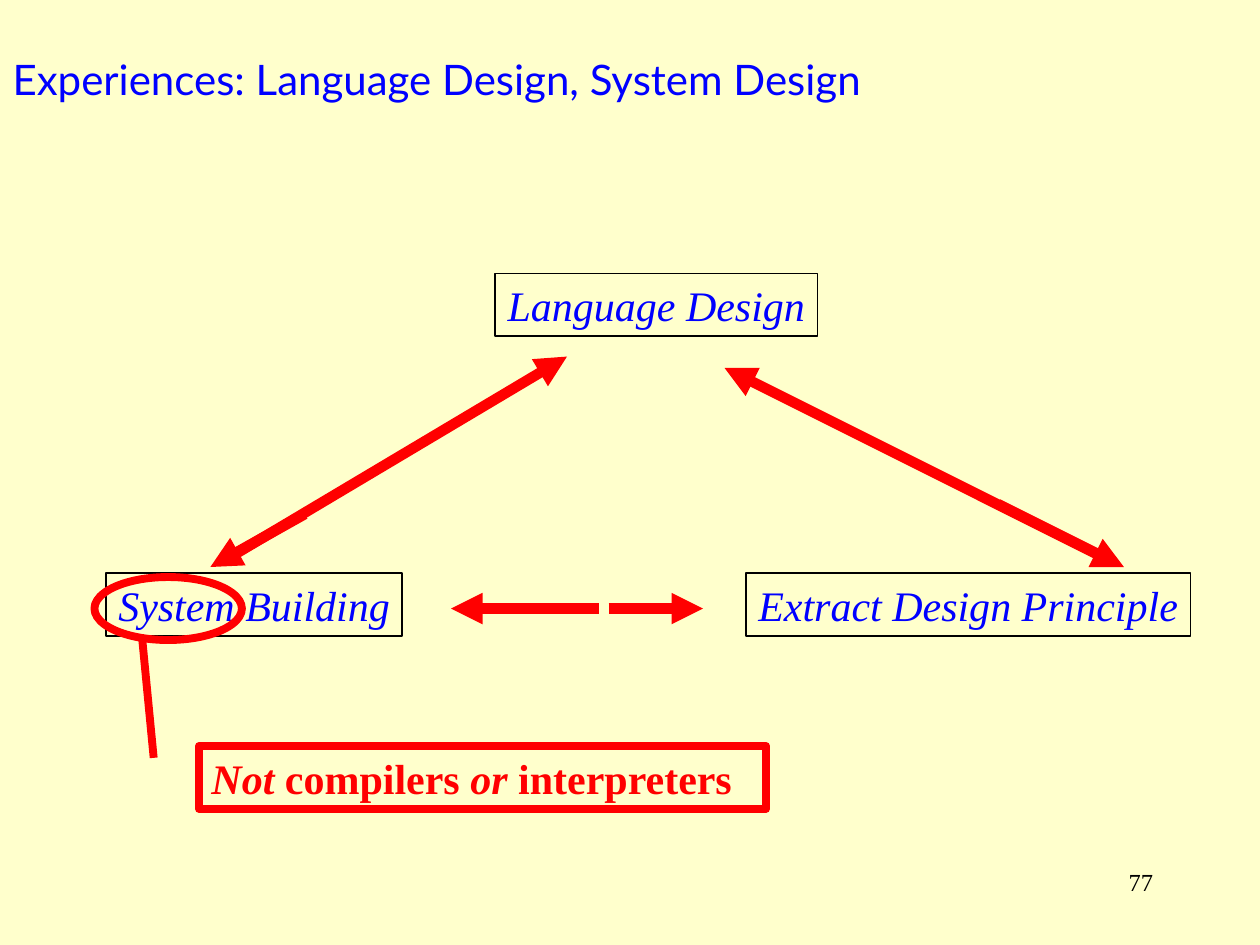
from lxml import etree
from pptx import Presentation
from pptx.dml.color import RGBColor
from pptx.enum.shapes import MSO_CONNECTOR, MSO_SHAPE
from pptx.enum.text import MSO_ANCHOR, PP_ALIGN
from pptx.oxml.ns import qn
from pptx.util import Inches, Pt

STRAIGHT = MSO_CONNECTOR.STRAIGHT
RECTANGLE, OVAL, CALLOUT = MSO_SHAPE.RECTANGLE, MSO_SHAPE.OVAL, MSO_SHAPE.LINE_CALLOUT_1
LEFT, RIGHT = PP_ALIGN.LEFT, PP_ALIGN.RIGHT
TOP, MIDDLE = MSO_ANCHOR.TOP, MSO_ANCHOR.MIDDLE

COLORS = {"background": "FFFFCC", "text": "0000FF", "accent": "FF0000", "black": "000000"}
SERIF = "Times New Roman"

TITLE = "Experiences: Language Design, System Design"
PAGE_NUMBER = "77"
ACTIVITIES = [  # label, (left, top, width, height)
    ("Language Design", (3.93, 2.17, 2.56, 0.5)),
    ("System Building", (0.84, 4.55, 2.35, 0.5)),
    ("Extract Design Principle", (5.92, 4.55, 3.53, 0.5)),
]
ARROWS = [  # start, tip
    ((1.83, 4.42), (4.5, 2.83)),
    ((8.75, 4.42), (5.75, 2.92)),
    ((4.75, 4.83), (3.58, 4.83)),
    ((4.83, 4.83), (5.58, 4.83)),
    ((2.42, 4.08), (1.67, 4.5)),
    ((7.92, 4), (8.92, 4.5)),
]
REMARK = [("Not ", True), ("compilers ", False), ("or ", True), ("interpreters", False)]
REMARK_POINTER = (0.19, -0.08, -1.68, -0.1)  # y, x of each end, as shares of the box


def color(name):
    return RGBColor.from_string(COLORS[name])


def inches(values):
    return [Inches(value) for value in values]


def add_outline(page, kind, place, line_color, width):
    shape = page.shapes.add_shape(kind, *inches(place))
    shape.shadow.inherit = False
    shape.fill.background()
    shape.line.color.rgb = color(line_color)
    shape.line.width = Pt(width)
    return shape


def write(shape, runs, size, font, text_color, align=LEFT, anchor=TOP, wrap=True):
    """Fill a shape with one paragraph of (text, italic) runs."""
    frame = shape.text_frame
    frame.word_wrap = wrap
    frame.vertical_anchor = anchor
    para = frame.paragraphs[0]
    para.alignment = align
    para.font.size = Pt(size)
    para.font.name = font
    para.font.color.rgb = color(text_color)
    for text, italic in runs:
        span = para.add_run()
        span.text = text
        span.font.italic = italic
    return para


def add_arrow(page, start, tip):
    arrow = page.shapes.add_connector(STRAIGHT, *inches(start + tip))
    arrow.line.color.rgb = color("accent")
    arrow.line.width = Pt(6)
    properties = arrow.line._get_or_add_ln()
    etree.SubElement(properties, qn("a:tailEnd"), type="triangle")
    etree.SubElement(arrow._element.spPr, qn("a:effectLst"))


def main():
    deck = Presentation()
    deck.slide_width, deck.slide_height = Inches(10), Inches(7.5)
    page = deck.slides.add_slide(deck.slide_layouts.get_by_name("Title Only"))
    page.background.fill.solid()
    page.background.fill.fore_color.rgb = color("background")

    title = page.shapes.title
    title.left, title.top, title.width, title.height = inches((0, 0, 8.5, 1.25))
    write(title, [(TITLE, False)], 24, "Lato", "text", anchor=MIDDLE)

    for label, place in ACTIVITIES:
        box = add_outline(page, RECTANGLE, place, "black", 1)
        write(box, [(label, True)], 24, SERIF, "text", wrap=False)

    for start, tip in ARROWS:
        add_arrow(page, start, tip)

    callout = add_outline(page, CALLOUT, (1.58, 5.92, 4.5, 0.5), "accent", 4.5)
    for index, share in enumerate(REMARK_POINTER):
        callout.adjustments[index] = share
    write(callout, REMARK, 24, SERIF, "accent").font.bold = True

    add_outline(page, OVAL, (0.75, 4.58, 1.17, 0.5), "accent", 4.5)

    number = page.shapes.add_textbox(*inches((7.17, 6.83, 2.08, 0.5)))
    write(number, [(PAGE_NUMBER, False)], 14, SERIF, "black", align=RIGHT)

    deck.save("out.pptx")


if __name__ == "__main__":
    main()
